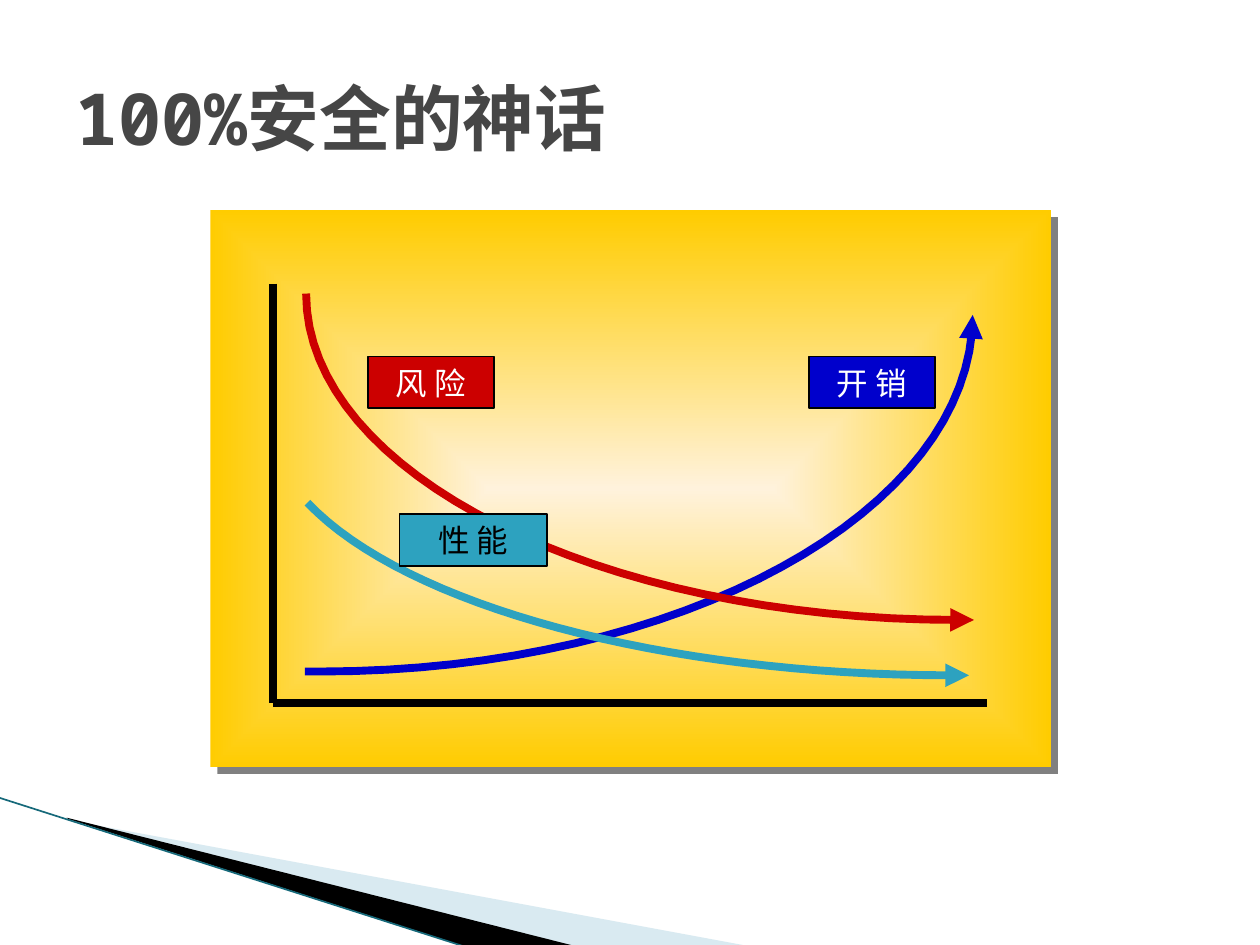
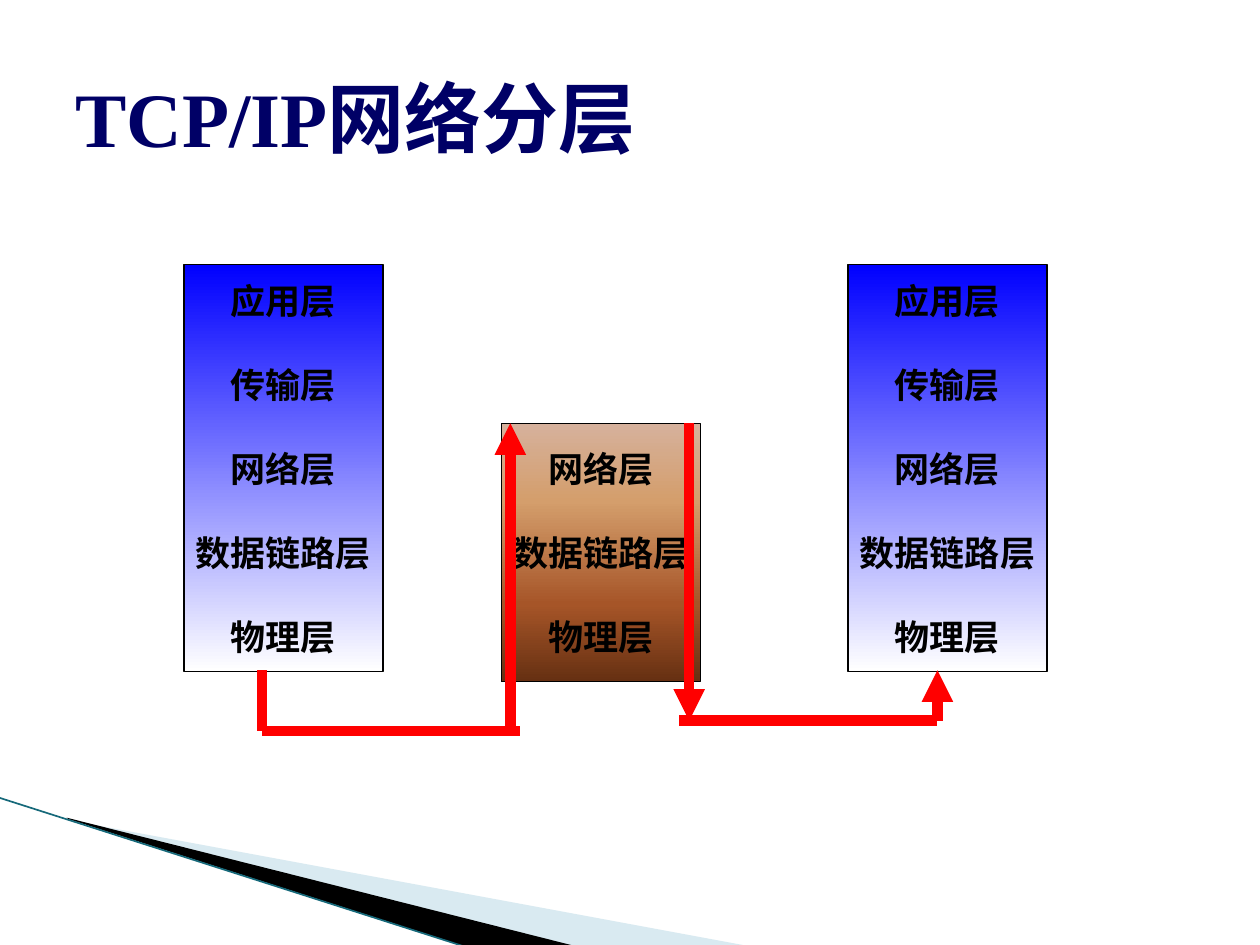
import pptx
import pptx.util
import pptx.oxml
import pptx.oxml.ns
from pptx.dml.color import RGBColor
from pptx.enum.shapes import MSO_CONNECTOR, MSO_SHAPE
from pptx.enum.text import MSO_ANCHOR, PP_ALIGN
from pptx.util import Inches

BLACK = RGBColor(0, 0, 0)
WHITE = RGBColor(255, 255, 255)
GRAY = RGBColor(0x46, 0x46, 0x46)
SHADOW_GRAY = RGBColor(0x80, 0x80, 0x80)
NAVY = RGBColor(0, 0, 0x66)
PALE_BLUE = RGBColor(0xA0, 0xCB, 0xDC)
EDGE_TEAL = RGBColor(0x16, 0x69, 0x7A)
COST_BLUE = RGBColor(0, 0, 0xCC)
RISK_RED = RGBColor(0xCC, 0, 0)
SPEED_TEAL = RGBColor(0x2D, 0xA2, 0xBF)
ROUTE_RED = RGBColor(255, 0, 0)
CREAM = RGBColor(0xFF, 0xF2, 0xDC)
GOLD = RGBColor(0xFF, 0xCC, 0)
HOST_STOPS = [(0, RGBColor(0, 0, 255)), (100, WHITE)]
ROUTER_STOPS = [(0, RGBColor(0xD6, 0xB1, 0x9C)), (30, RGBColor(0xD4, 0x9E, 0x6C)),
                (70, RGBColor(0xA6, 0x55, 0x28)), (100, RGBColor(0x66, 0x30, 0x12))]

MYTH_TITLE = ("100%安全的神话", 41, "Noto Sans Mono", GRAY)
LAYERS_TITLE = ("TCP/IP网络分层", 44, "Times New Roman", NAVY)

BANDS = [
    ([(0.55, 6.51), (5.95, 7.51), (4.56, 7.51), (0.55, 6.5)], PALE_BLUE, 40),
    ([(0.53, 6.49), (4.57, 7.51), (3.72, 7.52), (0.54, 6.5)], BLACK, 100),
]
BAND_EDGE = [(-0.01, 6.33), (3.71, 7.52)]

PANEL = (1.67, 1.67, 6.67, 4.42)
AXES = [(2.17, 2.25), (2.17, 5.58), (7.83, 5.58)]
TRENDS = [
    ("开 销", COST_BLUE, WHITE, (6.42, 2.83, 1, 0.41),
     [(2.42, 5.33)], [(2.55, 5.33), (5.4, 5.33), (7.72, 4.06), (7.72, 2.5)], []),
    ("风 险", RISK_RED, WHITE, (2.92, 2.83, 1, 0.41),
     [], [(2.43, 2.33), (2.43, 3.76), (4.75, 4.92), (7.6, 4.92)], [(7.73, 4.92)]),
    ("性 能", SPEED_TEAL, BLACK, (3.17, 4.08, 1.17, 0.41),
     [], [(2.44, 3.99), (3.22, 4.81), (5.26, 5.36), (7.55, 5.36)], [(7.69, 5.36)]),
]

LAYERS = ["应用层", "传输层", "网络层", "数据链路层", "物理层"]
STACKS = [
    (LAYERS, (1.46, 2.1, 1.58, 3.23), HOST_STOPS),
    (LAYERS, (6.73, 2.1, 1.58, 3.23), HOST_STOPS),
    (LAYERS[2:], (3.98, 3.36, 1.58, 2.05), ROUTER_STOPS),
]
ROUTE = [
    ((2.08, 5.32), (2.08, 5.8), False),
    ((2.08, 5.8), (4.13, 5.8), False),
    ((4.05, 5.8), (4.05, 3.36), True),
    ((5.47, 3.36), (5.47, 5.72), True),
    ((5.39, 5.72), (7.44, 5.72), False),
    ((7.44, 5.72), (7.44, 5.32), True),
]


def xml(markup):
    tag, rest = markup[1:].split(" ", 1)
    return pptx.oxml.parse_xml(f"<{tag} {pptx.oxml.ns.nsdecls('a')} {rest}")


def set_line(part, color, width, arrow=False):
    part.line.color.rgb = color
    part.line.width = pptx.util.Pt(width)
    if arrow:
        outline = part.element.spPr.find(pptx.oxml.ns.qn("a:ln"))
        outline.append(xml('<a:tailEnd type="triangle"/>'))


def add_line(slide, start, end, color, width, arrow=False):
    line = slide.shapes.add_connector(
        MSO_CONNECTOR.STRAIGHT, *(Inches(value) for value in start + end))
    set_line(line, color, width, arrow)
    line.element.spPr.append(xml("<a:effectLst />"))


def add_outline(slide, points, closed):
    corners = [(Inches(x), Inches(y)) for x, y in points]
    builder = slide.shapes.build_freeform(*corners[0])
    builder.add_line_segments(corners[1:], close=closed)
    outline = builder.convert_to_shape()
    outline.shadow.inherit = False
    return outline


def add_box(slide, place):
    box = slide.shapes.add_shape(MSO_SHAPE.RECTANGLE, *(Inches(value) for value in place))
    box.shadow.inherit = False
    return box


def set_gradient(box, stops, direction):
    box.fill.solid()
    marks = "".join(f'<a:gs pos="{pos * 1000}"><a:srgbClr val="{color}"/></a:gs>'
                    for pos, color in stops)
    gradient = xml(f'<a:gradFill rotWithShape="1"><a:gsLst>{marks}</a:gsLst>{direction}</a:gradFill>')
    properties = box.element.spPr
    properties.replace(properties.find(pptx.oxml.ns.qn("a:solidFill")), gradient)


def format_text(paragraph, size, font, color, bold=False):
    for run in paragraph.runs:
        run.font.size = pptx.util.Pt(size)
        run.font.name = font
        run.font.color.rgb = color
        run.font.bold = bold


def add_base(deck, title):
    slide = deck.slides.add_slide(deck.slide_layouts[6])
    for points, color, opacity in BANDS:
        band = add_outline(slide, points, True)
        band.fill.solid()
        band.fill.fore_color.rgb = color
        band.line.fill.background()
        if opacity < 100:
            tint = band.element.spPr.find(".//" + pptx.oxml.ns.qn("a:srgbClr"))
            tint.append(xml(f'<a:alpha val="{opacity * 1000}"/>'))
    add_line(slide, *BAND_EDGE, EDGE_TEAL, 0.95)

    words, size, font, color = title
    frame = slide.shapes.add_textbox(Inches(0.5), Inches(0.3), Inches(9), Inches(1.25)).text_frame
    frame.word_wrap = True
    frame.vertical_anchor = MSO_ANCHOR.MIDDLE
    frame.text = words
    format_text(frame.paragraphs[0], size, font, color, True)
    return slide


def curve_points(a, b, c, d, steps=32):
    for step in range(steps + 1):
        t = step / steps
        s = 1 - t
        yield tuple(s**3 * p + 3 * s * s * t * q + 3 * s * t * t * r + t**3 * e
                    for p, q, r, e in zip(a, b, c, d))


def build_myth(deck):
    slide = add_base(deck, MYTH_TITLE)
    panel = add_box(slide, PANEL)
    set_gradient(panel, [(0, CREAM), (100, GOLD)],
                 '<a:path path="shape"><a:fillToRect l="50000" t="50000" r="50000" b="50000"/></a:path>')
    panel.line.fill.background()
    panel.element.spPr.find(pptx.oxml.ns.qn("a:effectLst")).append(xml(
        f'<a:outerShdw dist="{pptx.util.Pt(5.7)}" dir="2700000" algn="ctr" rotWithShape="0">'
        f'<a:srgbClr val="{SHADOW_GRAY}"/></a:outerShdw>'))
    for start, end in zip(AXES, AXES[1:]):
        add_line(slide, start, end, BLACK, 4.5)

    for words, color, text_color, place, lead, bend, tip in TRENDS:
        curve = add_outline(slide, [*lead, *curve_points(*bend), *tip], False)
        curve.fill.background()
        set_line(curve, color, 4.5, True)
        label = add_box(slide, place)
        label.fill.solid()
        label.fill.fore_color.rgb = color
        set_line(label, BLACK, 1)
        label.text_frame.text = words
        label.text_frame.paragraphs[0].alignment = PP_ALIGN.CENTER
        format_text(label.text_frame.paragraphs[0], 18, "Arial", text_color)


def build_layers(deck):
    slide = add_base(deck, LAYERS_TITLE)
    for names, place, stops in STACKS:
        stack = add_box(slide, place)
        set_gradient(stack, stops, '<a:lin ang="5400000" scaled="1"/>')
        set_line(stack, BLACK, 0.75)
        frame = stack.text_frame
        frame.word_wrap = False
        frame.vertical_anchor = MSO_ANCHOR.MIDDLE
        frame.text = "\n".join(names)
        for index, layer in enumerate(frame.paragraphs):
            layer.alignment = PP_ALIGN.CENTER
            layer.line_spacing = pptx.util.Pt(24)
            if index:
                layer.space_before = pptx.util.Pt(24)
            format_text(layer, 20, "Comic Neue", BLACK, True)
    for start, end, arrow in ROUTE:
        add_line(slide, start, end, ROUTE_RED, 6, arrow)


def main():
    deck = pptx.Presentation()
    deck.slide_width = Inches(10)
    deck.slide_height = Inches(7.5)
    build_myth(deck)
    build_layers(deck)
    deck.save("out.pptx")


if __name__ == "__main__":
    main()
